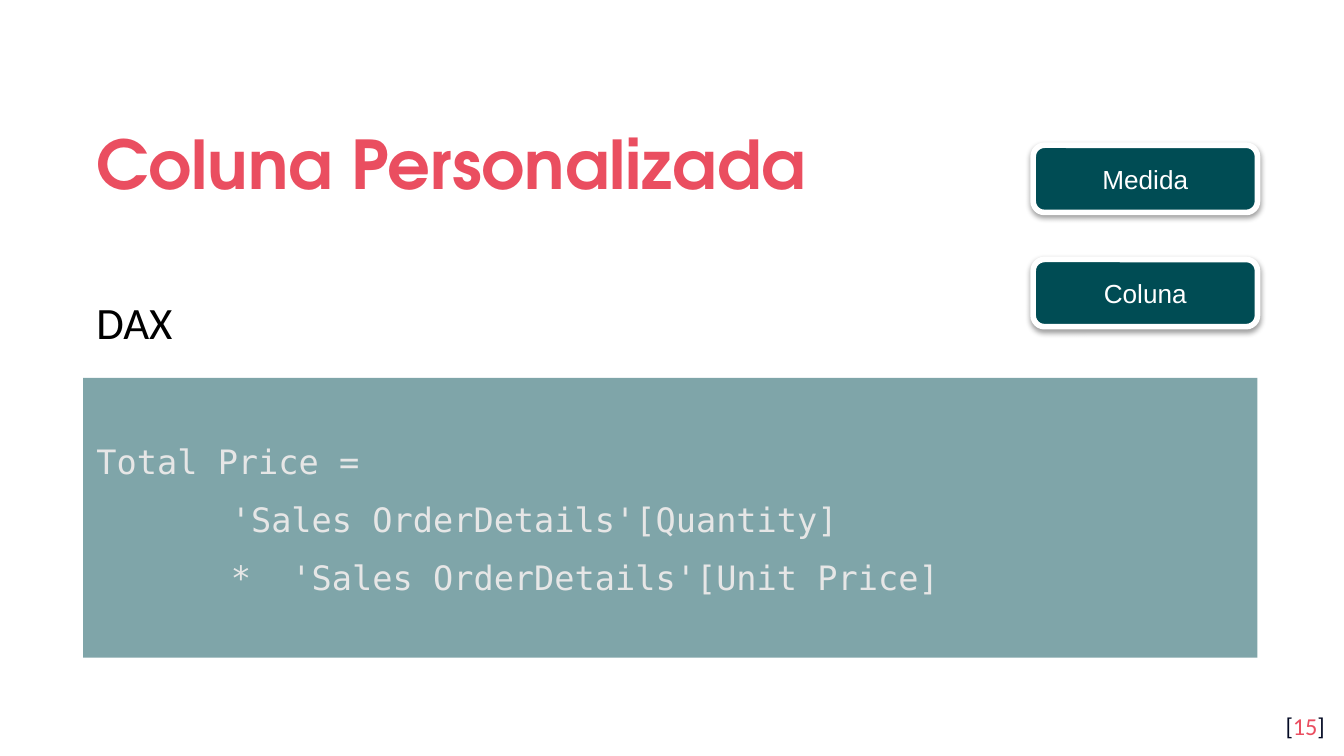
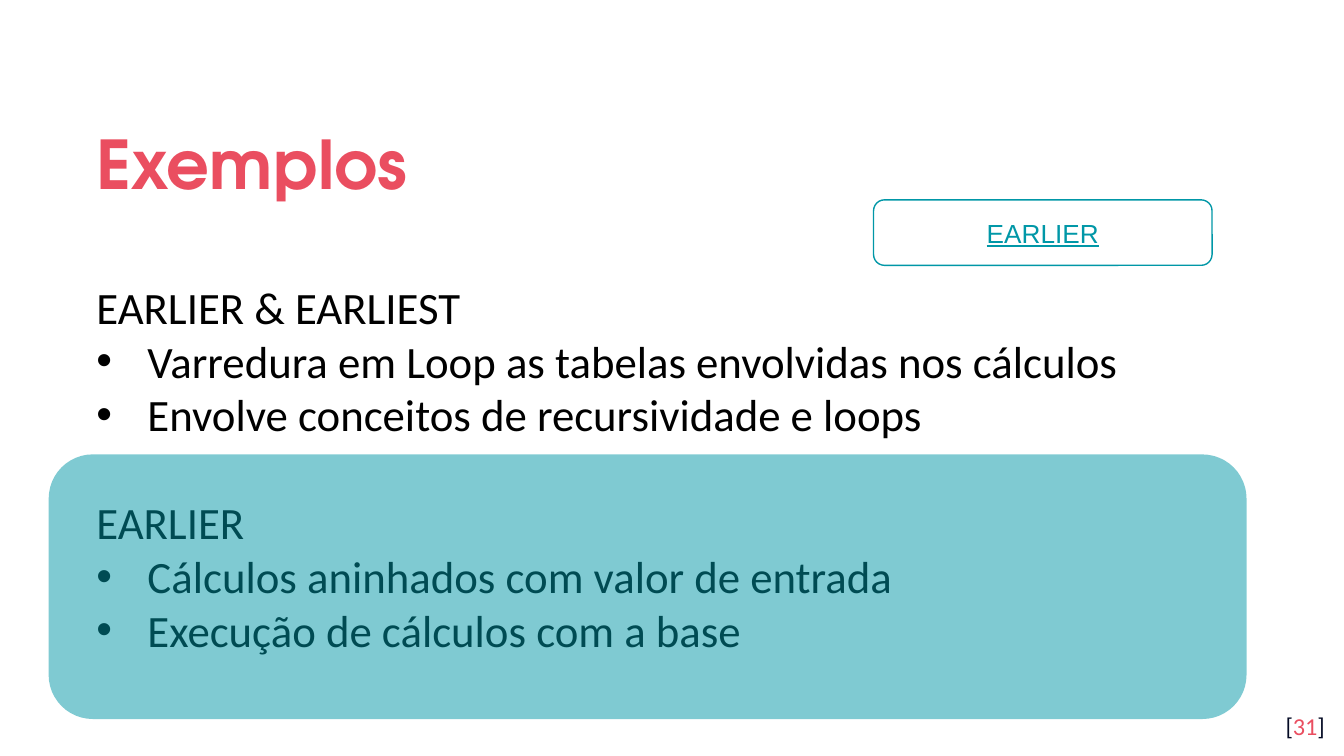
from lxml.etree import SubElement
from pptx import Presentation
from pptx.dml.color import RGBColor
from pptx.enum.shapes import MSO_SHAPE
from pptx.enum.text import MSO_ANCHOR, PP_ALIGN
from pptx.oxml.ns import qn
from pptx.util import Inches, Pt

HUES = {"rose": "EA4E60", "navy": "040A24", "black": "000000", "pine": "004C54",
        "teal": "0097A7", "white": "FFFFFF", "pale": "E6E6E6"}
SIDES = {"left": PP_ALIGN.LEFT, "right": PP_ALIGN.RIGHT,
         "mid": PP_ALIGN.CENTER, "just": PP_ALIGN.JUSTIFY}
COLS, ROWS = 16, 9
WIDE, HIGH = Inches(10), Inches(5.625)
EDGE, SPAN = 0.99, 13.98  # left edge and width of the content, in columns


def tint(name):
    return RGBColor.from_string(HUES[name])


def write(para, text, font="Calibri", size=24, hue="black", bold=False, under=False,
          side="left", line=None, before=0, after=0, indent=0, dot=False):
    """Fill a paragraph; text is a string or a list of (string, hue) pairs."""
    para.alignment = SIDES[side]
    para.line_spacing = line
    para.space_before, para.space_after = Pt(before), Pt(after)
    for part, shade in [(text, hue)] if isinstance(text, str) else text:
        run = para.add_run()
        run.text = part
        style = run.font
        style.name, style.size = font, Pt(size)
        style.bold, style.underline = bold, under
        style.color.rgb = tint(shade)
    props = para._p.get_or_add_pPr()
    if indent:
        props.set("marL", str(Inches(indent)))
    if dot:
        props.set("indent", str(-Inches(indent)))
        color = SubElement(props, qn("a:buClr"))
        SubElement(color, qn("a:srgbClr"), val=HUES["black"])
        SubElement(props, qn("a:buFont"), typeface="Arial")
        SubElement(props, qn("a:buChar"), char="•")


class Deck:
    def __init__(self):
        self.show = Presentation()
        self.show.slide_width, self.show.slide_height = WIDE, HIGH
        self.slide = None

    def place(self, col, row, cols, rows):
        """Turn grid units into lengths."""
        return (int(col * WIDE / COLS), int(row * HIGH / ROWS),
                int(cols * WIDE / COLS), int(rows * HIGH / ROWS))

    def page(self, title, number):
        """Start a slide with its title and page number."""
        self.slide = self.show.slides.add_slide(self.show.slide_layouts[6])
        self.text((EDGE, 1.13, 13, 1.47), [title], pad=0.1, center=True,
                  font="TeX Gyre Adventor", size=36, hue="rose", bold=True, line=1.15)
        self.text((14.97, 8.31, 0.96, 0.69),
                  [[("[", "navy"), (str(number), "rose"), ("]", "navy")]],
                  pad=0.1, size=13, side="right")

    def fill(self, frame, lines, center=False, pad=0.05, **style):
        """Write lines; a line may be a (text, own format) pair."""
        frame.word_wrap = True
        frame.margin_left = frame.margin_right = Inches(0.1)
        frame.margin_top = frame.margin_bottom = Inches(pad)
        frame.vertical_anchor = MSO_ANCHOR.MIDDLE if center else MSO_ANCHOR.TOP
        for index, item in enumerate(lines):
            text, own = item if isinstance(item, tuple) else (item, {})
            para = frame.add_paragraph() if index else frame.paragraphs[0]
            write(para, text, **{**style, **own})

    def text(self, spot, lines, **style):
        box = self.slide.shapes.add_textbox(*self.place(*spot))
        self.fill(box.text_frame, lines, **style)

    def box(self, spot, lines=(), back=None, edge=None, width=1, alpha=None,
            rounded=True, lift=False, **style):
        kind = MSO_SHAPE.ROUNDED_RECTANGLE if rounded else MSO_SHAPE.RECTANGLE
        shape = self.slide.shapes.add_shape(kind, *self.place(*spot))
        shape.shadow.inherit = False
        if back:
            shape.fill.solid()
            shape.fill.fore_color.rgb = tint(back)
        else:
            shape.fill.background()
        if alpha:
            color = shape._element.spPr.find(qn("a:solidFill"))[0]
            SubElement(color, qn("a:alpha"), val=str(alpha * 1000))
        if edge:
            shape.line.color.rgb = tint(edge)
            shape.line.width = Pt(width)
        else:
            shape.line.fill.background()
        if lift:
            effects = shape._element.spPr.find(qn("a:effectLst"))
            shade = SubElement(effects, qn("a:outerShdw"), blurRad=str(Pt(3.1)),
                               dist=str(Pt(1.6)), dir="5400000", rotWithShape="0")
            color = SubElement(shade, qn("a:srgbClr"), val=HUES["black"])
            SubElement(color, qn("a:alpha"), val="38000")
        self.fill(shape.text_frame, lines, center=True, **style)


def main():
    deck = Deck()
    label = {"font": "Arial", "size": 14, "side": "mid"}
    inner = {"indent": 1}
    point = {"indent": 0.38, "dot": True}

    # Custom column: formula and buttons
    deck.page("Coluna Personalizada", 15)
    deck.text((EDGE, 3.43, 3.8, 0.8), ["DAX"], side="just")
    deck.box((EDGE, 4.5, SPAN, 3.33),
             ["Total Price =",
              ("'Sales OrderDetails'[Quantity]", inner),
              ("*  'Sales OrderDetails'[Unit Price]", inner)],
             back="pine", alpha=50, rounded=False, font="DejaVu Sans Mono",
             size=18, hue="pale", side="just", line=1.07, after=8)
    for index, name in enumerate(["Medida", "Coluna"]):
        deck.box((12.3, 1.73 + 1.36 * index, 2.67, 0.8), [name], back="pine",
                 edge="white", width=3, lift=True, hue="white", **label)

    # Examples: notes, tinted panel over the second half, function label
    deck.page("Exemplos", 31)
    deck.text((EDGE, 3.25, SPAN, 4.69),
              ["EARLIER & EARLIEST",
               ("Varredura em Loop as tabelas envolvidas nos cálculos", point),
               ("Envolve conceitos de recursividade e loops", point),
               ("EARLIER", {"before": 29}),
               ("Cálculos aninhados com valor de entrada", point),
               ("Execução de cálculos com a base", point)])
    deck.box((0.58, 5.41, 14.26, 3.15), back="teal", alpha=50)
    deck.box((10.4, 2.38, 4.03, 0.78), ["EARLIER"], edge="teal", width=0.75,
             hue="teal", under=True, **label)

    deck.show.save("out.pptx")


if __name__ == "__main__":
    main()
